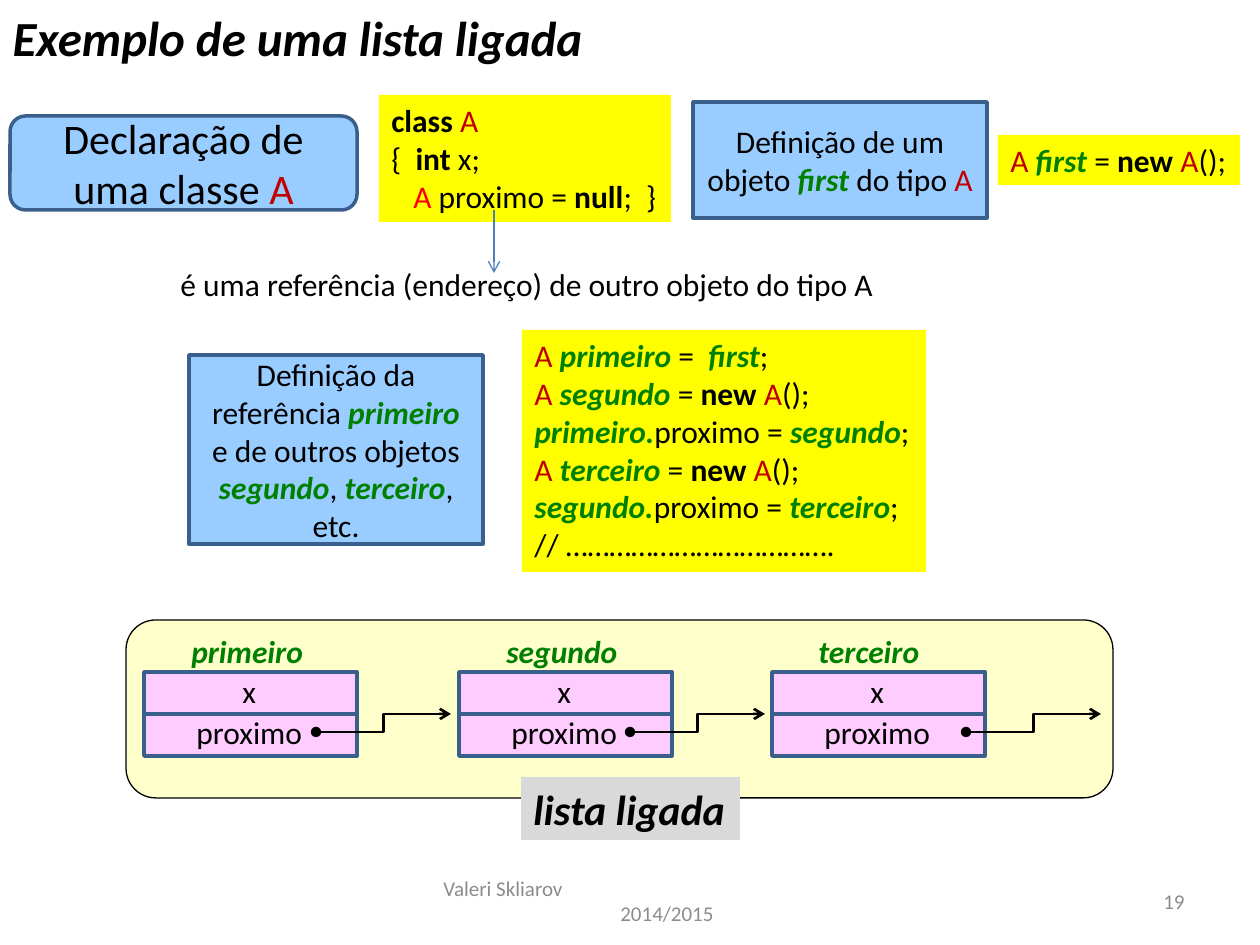
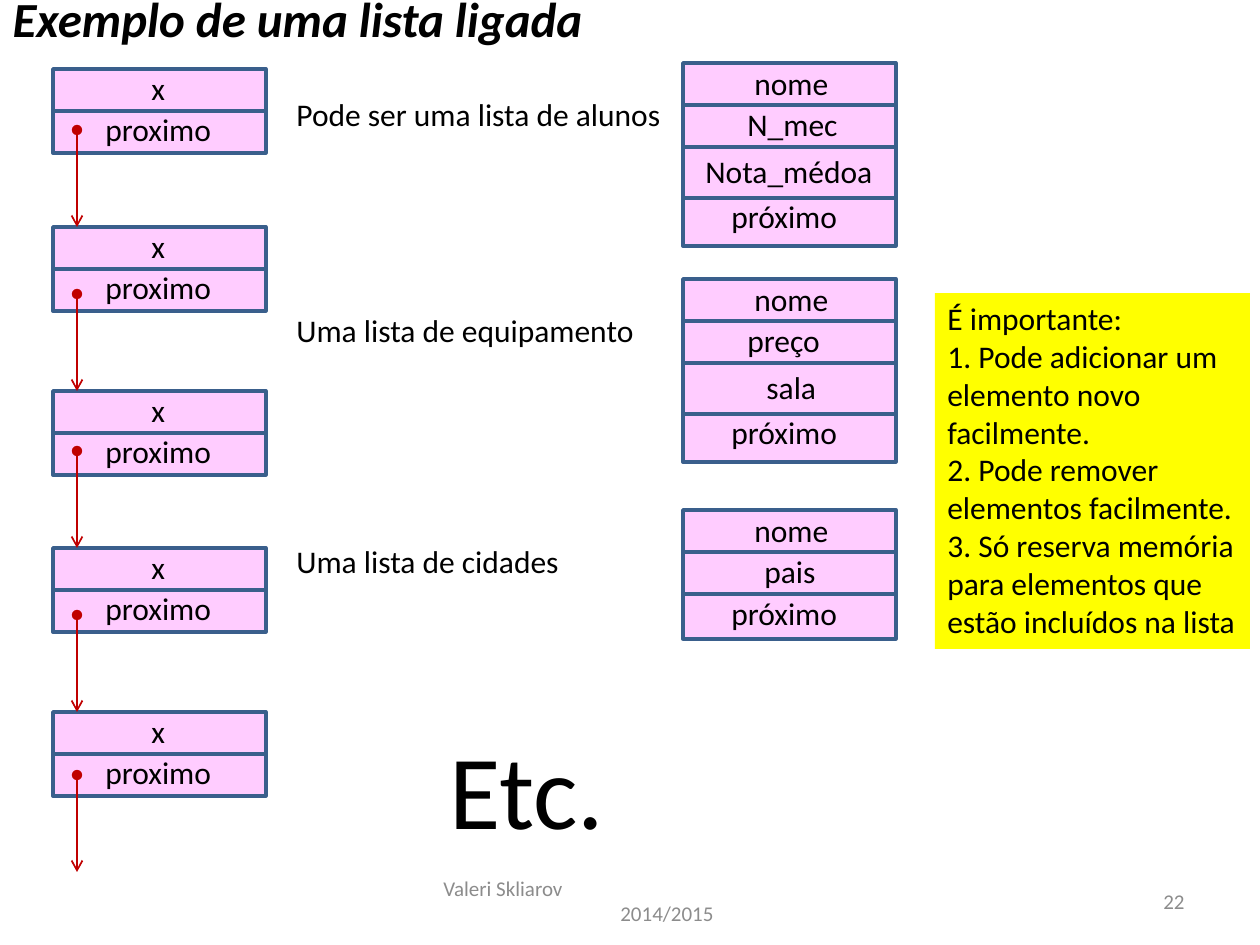
"""Builds two slides that explain a linked list in Portuguese."""
import pptx
import pptx.util
import pptx.dml.color
import pptx.enum.shapes
import pptx.enum.text
import pptx.oxml
import pptx.oxml.ns

SHAPE = pptx.enum.shapes.MSO_SHAPE
LINK = pptx.enum.shapes.MSO_CONNECTOR
ALIGN = pptx.enum.text.PP_ALIGN
ANCHOR = pptx.enum.text.MSO_ANCHOR
FIT = pptx.enum.text.MSO_AUTO_SIZE
SCALE = 914400 / 126

BLACK, GREY, SILVER = "000000", "8C8C8C", "D9D9D9"
YELLOW, CREAM, PINK, SKY = "FFFF00", "FFFFCC", "FFCCFF", "99CCFF"
NAVY, BLUE, RED, GREEN = "3A5F8C", "4B7EBC", "C00000", "008000"

STYLES = {
    "key": (BLACK, True, False),
    "type": (RED, False, False),
    "self": ("FF0000", False, False),
    "ref": (GREEN, True, True),
}
TITLE = "Exemplo de uma lista ligada"
AUTHOR, YEAR = "Valeri Skliarov", "2014/2015"
NEW = [("key", "new "), ("type", "A"), "();"]

CLASS = [
    [("key", "class "), ("type", "A")],
    ["{  ", ("key", "int "), "x;"],
    [("self", "A "), "proximo = ", ("key", "null"), ";  }"],
]
FIRST = [[("type", "A "), ("ref", "first "), "= "] + NEW]
CHAIN = [
    [("type", "A "), ("ref", "primeiro"), " =  ", ("ref", "first"), ";"],
    [("type", "A "), ("ref", "segundo "), "= "] + NEW,
    [("ref", "primeiro."), "proximo = ", ("ref", "segundo"), ";"],
    [("type", "A "), ("ref", "terceiro "), "= "] + NEW,
    [("ref", "segundo."), "proximo = ", ("ref", "terceiro"), ";"],
    ["// ………………………………."],
]
PANELS = [
    (SHAPE.ROUNDED_RECTANGLE, (10, 116, 347, 94), 24,
     [["Declaração de uma classe ", ("type", "A")]]),
    (SHAPE.RECTANGLE, (693, 102, 294, 116), 18,
     [["Definição de um objeto ", ("ref", "first "), "do tipo ", ("type", "A")]]),
    (SHAPE.RECTANGLE, (189, 355, 294, 189), 18,
     [["Definição da referência ", ("ref", "primeiro")],
      ["e de outros objetos ", ("ref", "segundo"), ",", ("ref", " terceiro"), ", etc."]]),
]
CODES = [
    ((379, 95, 292, 127), CLASS),
    ((998, 135, 242, 50), FIRST),
    ((522, 330, 404, 242), CHAIN),
]
HEADS = [
    ("primeiro", 144, 35, 139, 172),
    ("segundo", 459, 35, 137, 171),
    ("terceiro", 772, 34, 127, 194),
]
NODE = [("x", 86, -6, 39), ("proximo", 40, 35, 132)]
TOPS = [69, 227, 391, 548, 712]
LISTS = [
    ("Pode ser uma lista de alunos", 394, 63, 183, [42, 84, 135],
     [("nome", 59, -5, 101), ("N_mec", 52, 36, 117),
      ("Nota_médoa", 10, 83, 194), ("próximo", 36, 128, 132)]),
    ("Uma lista de equipamento", 367, 279, 183, [42, 84, 135],
     [("nome", 59, -5, 101), ("preço", 52, 36, 98),
      ("sala", 71, 83, 76), ("próximo", 36, 128, 132)]),
    ("Uma lista de cidades", 291, 510, 129, [42, 84],
     [("nome", 59, -5, 101), ("pais", 69, 36, 77), ("próximo", 36, 78, 132)]),
]
NOTES = [
    ["É importante:"],
    ["1. Pode adicionar um elemento novo facilmente."],
    ["2. Pode remover elementos facilmente."],
    ["3. Só reserva memória para elementos que estão incluídos na lista"],
]


def px(num):
    return pptx.util.Emu(round(num * SCALE))


def tint(code):
    return pptx.dml.color.RGBColor.from_string(code)


def style(font, color, bold, slant):
    font.color.rgb = tint(color)
    font.bold, font.italic = bold, slant


def write(frame, lines, size=18, color=BLACK, bold=False, slant=False, align=ALIGN.LEFT):
    for num, line in enumerate(lines):
        para = frame.paragraphs[0] if num == 0 else frame.add_paragraph()
        para.alignment = align
        para.font.name, para.font.size = "Calibri", pptx.util.Pt(size)
        style(para.font, color, bold, slant)
        for part in line:
            run = para.add_run()
            if isinstance(part, str):
                run.text = part
            else:
                run.text = part[1]
                style(run.font, *STYLES[part[0]])


def indent(para, num):
    para._p.get_or_add_pPr().set("marL", str(px(num)))


def label(slide, box, lines, fill=None, wrap=False, **look):
    shape = slide.shapes.add_textbox(*map(px, box))
    frame = shape.text_frame
    frame.word_wrap, frame.auto_size = wrap, FIT.SHAPE_TO_FIT_TEXT
    if fill:
        shape.fill.solid()
        shape.fill.fore_color.rgb = tint(fill)
    write(frame, lines, **look)
    return frame


def panel(slide, kind, box, fill, edge=NAVY, width=2):
    shape = slide.shapes.add_shape(kind, *map(px, box))
    shape.shadow.inherit = False
    shape.fill.solid()
    shape.fill.fore_color.rgb = tint(fill)
    shape.line.color.rgb = tint(edge)
    shape.line.width = pptx.util.Pt(width)
    return shape.text_frame


def link(slide, ends, color=NAVY, width=2, kind=LINK.STRAIGHT, head=None, tail=None):
    line = slide.shapes.add_connector(kind, *map(px, ends))
    line.line.color.rgb = tint(color)
    line.line.width = pptx.util.Pt(width)
    make, name = pptx.oxml.ns.qn, pptx.oxml.parse_xml
    edge = line.line._get_or_add_ln()
    for tag, form in (("headEnd", head), ("tailEnd", tail)):
        if form:
            edge.append(name(f'<a:{tag} {pptx.oxml.ns.nsdecls("a")} type="{form}"/>'))
    line._element.spPr.append(line._element.makeelement(make("a:effectLst"), {}))


def record(slide, left, top, high, cuts, fields):
    panel(slide, SHAPE.RECTANGLE, (left, top, 213, high), PINK)
    for cut in cuts:
        link(slide, (left, top + cut, left + 213, top + cut))
    for text, across, down, wide in fields:
        label(slide, (left + across, top + down, wide, 50), [[text]])


def start(deck, top, page):
    slide = deck.slides.add_slide(deck.slide_layouts[5])
    title = slide.shapes.title
    title.left, title.top, title.width, title.height = map(px, (0, top, 601, 72))
    frame = title.text_frame
    frame.word_wrap, frame.auto_size = False, FIT.SHAPE_TO_FIT_TEXT
    frame.vertical_anchor = ANCHOR.TOP
    write(frame, [[TITLE]], 28, bold=True, slant=True)
    feet = [((431, 876, 399, 50), [[AUTHOR], [YEAR]], ALIGN.LEFT),
            ((903, 876, 294, 50), [[page]], ALIGN.RIGHT)]
    for box, lines, align in feet:
        foot = label(slide, box, lines, wrap=True, size=12, color=GREY, align=align)
        foot.auto_size, foot.vertical_anchor = FIT.NONE, ANCHOR.MIDDLE
        if len(lines) > 1:
            indent(foot.paragraphs[1], 177)
    return slide


def declare(deck):
    slide = start(deck, 1, "19")
    panel(slide, SHAPE.ROUNDED_RECTANGLE, (126, 620, 987, 178), CREAM, BLACK, 0.75)
    for kind, box, size, lines in PANELS:
        frame = panel(slide, kind, box, SKY)
        frame.word_wrap, frame.vertical_anchor = True, ANCHOR.MIDDLE
        write(frame, lines, size, align=ALIGN.CENTER)
    codes = [label(slide, box, lines, YELLOW) for box, lines in CODES]
    indent(codes[0].paragraphs[2], 22)
    link(slide, (494, 210, 494, 273), BLUE, 0.75, tail="arrow")
    label(slide, (168, 259, 727, 50),
          [["é uma referência (endereço) de outro objeto do tipo A"]])
    top = 672
    for name, left, across, wide, dot in HEADS:
        record(slide, left, top, 84, [42], NODE)
        label(slide, (left + across, top - 46, wide, 50), [[("ref", name)]])
        ends = (left + dot, top + 60, left + dot + 135, top + 42)
        link(slide, ends, BLACK, 1.5, LINK.ELBOW, "oval", "arrow")
    label(slide, (521, 777, 219, 63), [["lista ligada"]], SILVER,
          size=24, bold=True, slant=True)


def apply(deck):
    slide = start(deck, -18, "22")
    for top in TOPS:
        record(slide, 53, top, 84, [42], NODE)
    for end in TOPS[1:] + [872]:
        link(slide, (77, end - 97, 77, end), RED, 1, head="oval", tail="arrow")
    for text, wide, top, high, cuts, fields in LISTS:
        label(slide, (284, top + 26, wide, 50), [[text]])
        record(slide, 683, top, high, cuts, fields)
    label(slide, (437, 718, 181, 140), [["Etc."]], size=60)
    label(slide, (935, 293, 315, 356), NOTES, YELLOW, wrap=True)


deck = pptx.Presentation()
deck.slide_width, deck.slide_height = px(1260), px(945)
declare(deck)
apply(deck)
deck.save("out.pptx")
